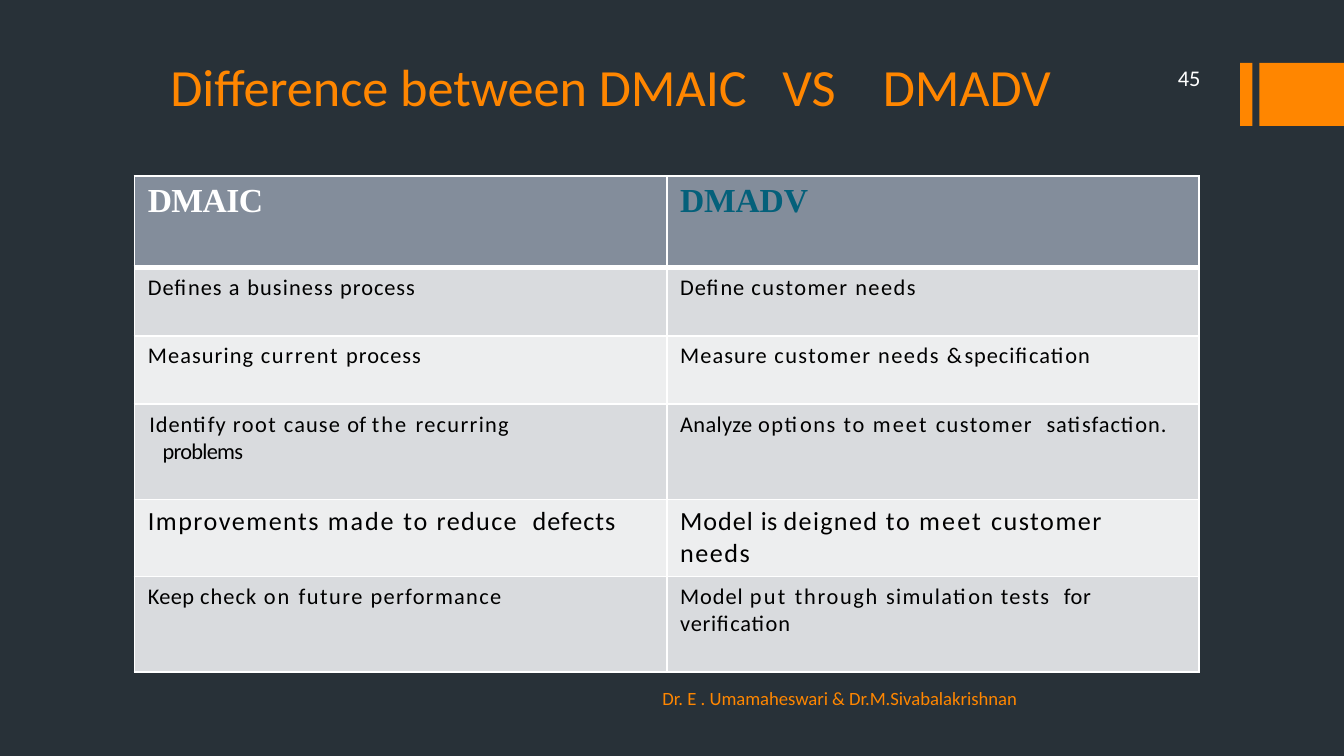
from dataclasses import dataclass

from lxml.etree import SubElement
from pptx import Presentation
from pptx.dml.color import RGBColor as Rgb
from pptx.enum.shapes import MSO_SHAPE as Preset
from pptx.enum.text import MSO_ANCHOR as Anchor, PP_ALIGN as Align
from pptx.oxml.ns import qn
from pptx.util import Cm, Pt


@dataclass(frozen=True)
class Theme:
    background: str = "283138"
    accent: str = "FF8600"
    white: str = "FFFFFF"
    black: str = "000000"
    teal: str = "04607A"
    header_fill: str = "838D9B"
    bands: tuple = ("D9DBDE", "EDEEEF")
    body_font: str = "Calibri"
    header_font: str = "Times New Roman"
    title_size: int = 28
    header_size: int = 18
    large_size: int = 14
    body_size: int = 12
    footer_size: int = 10


THEME = Theme()

# A cell is a list of paragraphs, a paragraph a list of (text, letter spacing in points).
HEADER = [[[("DMAIC", -0.3)]], [[("DMADV", -0.1)]]]
STEPS = [
    ([[("Defines ", 0.5), ("a ", 0.7), ("business ", 0.6), ("process", 0.5)]],
     [[("Define ", 0.5), ("customer needs", 0.8)]]),
    ([[("Measuring ", 0.6), ("current ", 0.9), ("process", 0.5)]],
     [[("Measure ", 0.6), ("customer needs ", 0.8), ("& ", -1.5), ("specification", 0.5)]]),
    ([[("Identify ", 0.5), ("root ", 0.8), ("cause ", 0.6), ("of ", 0.1), ("the ", 1.1),
       ("recurring", 0.7)],
      [("problems", -0.4)]],
     [[("Analyze ", 0.2), ("options ", 0.8), ("to ", 0.9), ("meet ", 1.1), ("customer", 0.8),
       (" ", 4.3), ("satisfaction.", 0.5)]]),
    ([[("Improvements ", 0.8), ("made ", 1), ("to ", 0.9), ("reduce", 0.7), (" ", 4.6),
       ("defects", 0.5)]],
     [[("Model ", 0.5), ("is ", 0.1), ("deigned ", 0.7), ("to ", 0.9), ("meet ", 1.1),
       ("customer", 0.8), (" ", 4.8), ("needs", 0.8)]]),
    ([[("Keep ", 0.2), ("check ", 0.6), ("on ", 1.1), ("future ", 0.8), ("performance", 0.7)]],
     [[("Model ", 0.5), ("put ", 1.2), ("through ", 0.9), ("simulation tests", 0.7), (" ", 4.1),
       ("for ", 0.3), ("verification", 0.4)]]),
]
ROW_HEIGHTS = (1.73, 1.29, 1.29, 1.8, 1.46, 1.8)
IMPROVE_STEP = 3
ROOT_CAUSE_INDENTS = ((0.03, 0), (0.79, -0.51))


class SlideBuilder:
    def __init__(self, slide, theme):
        self.slide = slide
        self.theme = theme
        slide.background.fill.solid()
        slide.background.fill.fore_color.rgb = Rgb.from_string(theme.background)

    def bar(self, left, top, width, height):
        block = self.slide.shapes.add_shape(
            Preset.RECTANGLE, Cm(left), Cm(top), Cm(width), Cm(height))
        block.shadow.inherit = False
        block.fill.solid()
        block.fill.fore_color.rgb = Rgb.from_string(self.theme.accent)
        block.line.fill.background()

    def runs(self, paragraph, pieces, size, color, font, bold=False):
        for wording, spacing in pieces:
            run = paragraph.add_run()
            run.text = wording
            run.font.size = Pt(size)
            run.font.name = font
            run.font.bold = bold
            run.font.color.rgb = Rgb.from_string(color)
            if spacing:
                run._r.get_or_add_rPr().set("spc", str(round(spacing * 100)))

    def label(self, box, pieces, size, color, align=Align.LEFT, anchor=Anchor.TOP, inset=0.13):
        frame = self.slide.shapes.add_textbox(*map(Cm, box)).text_frame
        frame.word_wrap = True
        frame.vertical_anchor = anchor
        frame.margin_top = Cm(inset)
        paragraph = frame.paragraphs[0]
        paragraph.alignment = align
        self.runs(paragraph, pieces, size, color, self.theme.body_font)

    def table(self, left, top, column_width, row_heights):
        grid = self.slide.shapes.add_table(
            len(row_heights), 2, Cm(left), Cm(top),
            Cm(2 * column_width), Cm(sum(row_heights))).table
        grid.first_row = grid.horz_banding = False
        for column in grid.columns:
            column.width = Cm(column_width)
        for row, height in zip(grid.rows, row_heights):
            row.height = Cm(height)
        return grid

    def cell(self, cell, paragraphs, fill, bottom=1, indents=(), **style):
        self.borders(cell, bottom)
        cell.fill.solid()
        cell.fill.fore_color.rgb = Rgb.from_string(fill)
        frame = cell.text_frame
        for number, pieces in enumerate(paragraphs):
            paragraph = frame.add_paragraph() if number else frame.paragraphs[0]
            if indents:
                margin, first_line = indents[number]
                properties = paragraph._p.get_or_add_pPr()
                properties.set("marL", str(Cm(margin)))
                properties.set("indent", str(Cm(first_line)))
            self.runs(paragraph, pieces, **style)

    def borders(self, cell, bottom):
        properties = cell._tc.get_or_add_tcPr()
        for side, width in (("L", 1), ("R", 1), ("T", 1), ("B", bottom)):
            edge = SubElement(properties, qn(f"a:ln{side}"), w=str(Pt(width)))
            solid = SubElement(edge, qn("a:solidFill"))
            SubElement(solid, qn("a:srgbClr"), val=self.theme.white)


def main():
    deck = Presentation()
    deck.slide_width, deck.slide_height = Cm(25.4), Cm(14.29)
    builder = SlideBuilder(deck.slides.add_slide(deck.slide_layouts[6]), THEME)

    for left, width in ((23.44, 0.23), (23.8, 1.6)):
        builder.bar(left, 1.19, width, 1.19)

    # Wide letter spacing on the single spaces sets "VS" apart.
    title = [("Difference between DMAIC", 0), (" ", 12.7), ("VS", 0), (" ", 19), ("DMADV", 0)]
    builder.label((2.97, 1.02, 20.32, 2.41), title, THEME.title_size, THEME.accent, inset=0)

    comparison = builder.table(2.54, 3.33, 10.06, ROW_HEIGHTS)
    for column, (heading, color) in enumerate(zip(HEADER, (THEME.white, THEME.teal))):
        builder.cell(comparison.cell(0, column), heading, THEME.header_fill, bottom=3,
                     size=THEME.header_size, color=color, font=THEME.header_font, bold=True)
    for step, cells in enumerate(STEPS):
        size = THEME.large_size if step == IMPROVE_STEP else THEME.body_size
        for column, paragraphs in enumerate(cells):
            indents = ROOT_CAUSE_INDENTS if len(paragraphs) > 1 else ()
            builder.cell(comparison.cell(step + 1, column), paragraphs, THEME.bands[step % 2],
                         indents=indents, size=size, color=THEME.black, font=THEME.body_font)

    builder.label((12.27, 12.85, 7.37, 0.69),
                  [("Dr. E . Umamaheswari & Dr.M.Sivabalakrishnan", 0)],
                  THEME.footer_size, THEME.accent)
    builder.label((20.32, 1.14, 2.62, 0.64), [("45", 0)], THEME.body_size, THEME.white,
                  align=Align.RIGHT, anchor=Anchor.MIDDLE)
    deck.save("out.pptx")


if __name__ == "__main__":
    main()
